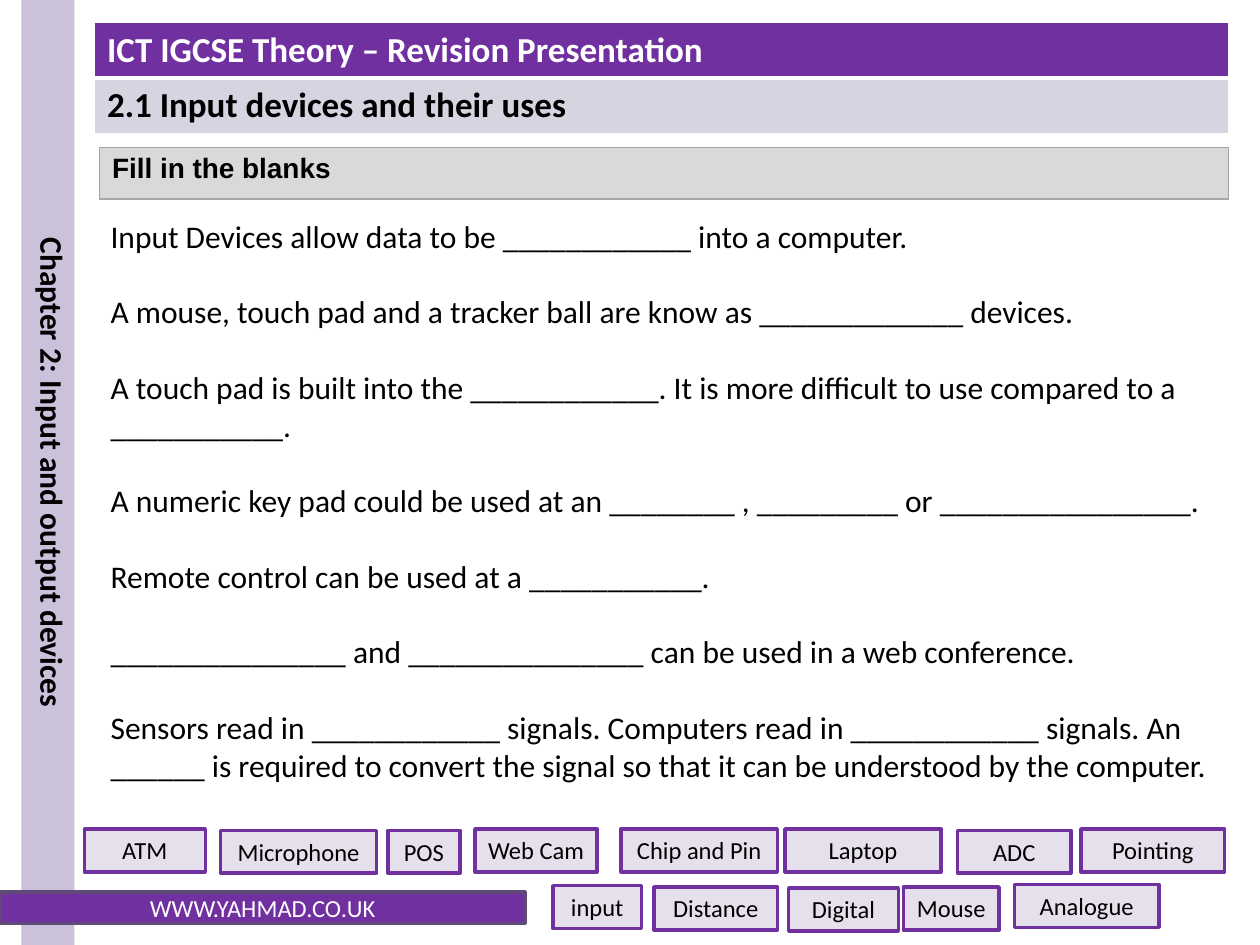
from lxml import etree
from pptx import Presentation
from pptx import util as u
from pptx.dml.color import RGBColor
from pptx.enum import shapes, text
from pptx.oxml.ns import qn

COLORS = {
    "purple": "7030A0", "strip": "CCC1DA", "lilac": "D8D3E0", "word": "E6E0EC",
    "grey": "D9D9D9", "grey_line": "A6A6A6", "footer_line": "5F4A78",
    "white": "FFFFFF", "black": "000000",
}

SENTENCES = [
    "Input Devices allow data to be ____________ into a computer.",
    "A mouse, touch pad and a tracker ball are know as _____________ devices.",
    "A touch pad is built into the ____________. It is more difficult to use compared to a ___________.",
    "A numeric key pad could be used at an ________ , _________ or ________________.",
    "Remote control can be used at a ___________.",
    "_______________ and _______________ can be used in a web conference.",
    "Sensors read in ____________ signals. Computers read in ____________ signals. "
    "An ______ is required to convert the signal so that it can be understood by the computer.",
]

# Answer words: label, left, top, width
WORDS = [
    ("POS", 3.08, 6.59, 0.57), ("ATM", 0.67, 6.58, 0.96),
    ("Pointing", 8.58, 6.58, 1.14), ("input", 4.39, 7.03, 0.7),
    ("Chip and Pin", 4.93, 6.58, 1.24), ("Laptop", 6.23, 6.58, 1.24),
    ("Mouse", 7.17, 7.04, 0.76), ("Distance", 5.19, 7.04, 0.98),
    ("Web Cam", 3.77, 6.58, 0.97), ("Microphone", 1.75, 6.59, 1.24),
    ("ADC", 7.6, 6.59, 0.9), ("Analogue", 8.05, 7.02, 1.15),
    ("Digital", 6.26, 7.05, 0.87),
]


def rgb(name):
    return RGBColor.from_string(COLORS[name])


class Deck:
    """Holds the style and the current slide."""

    font = "Calibri"

    def __init__(self, width, height):
        self.prs = Presentation()
        self.prs.slide_width, self.prs.slide_height = u.Inches(width), u.Inches(height)
        self.s = self.prs.slides.add_slide(self.prs.slide_layouts[6])

    def set_text(self, tf, lines, size, color="black", bold=False, font=None, align=None, gap=0):
        tf.text = "\n".join(lines)
        for i, p in enumerate(tf.paragraphs):
            p.alignment = align
            if i and gap:
                p.space_before = u.Pt(gap)
            for r in p.runs:
                r.font.name = font or self.font
                r.font.size = u.Pt(size)
                r.font.bold = bold
                r.font.color.rgb = rgb(color)

    def rect(self, box, fill, line=None, label=None, size=14, color="black",
             anchor=text.MSO_ANCHOR.TOP):
        sp = self.s.shapes.add_shape(shapes.MSO_SHAPE.RECTANGLE, *map(u.Inches, box))
        sp.shadow.inherit = False
        sp.fill.solid()
        sp.fill.fore_color.rgb = rgb(fill)
        if line:
            sp.line.color.rgb = rgb(line)
            sp.line.width = u.Pt(2)
        else:
            sp.line.fill.background()
        if label:
            sp.text_frame.vertical_anchor = anchor
            self.set_text(sp.text_frame, [label], size, color, align=text.PP_ALIGN.CENTER)

    def textbox(self, box, lines, size, vertical=False, **style):
        tf = self.s.shapes.add_textbox(*map(u.Inches, box)).text_frame
        tf.word_wrap = True
        if vertical:
            tf._txBody.bodyPr.set("vert", "vert")
        self.set_text(tf, lines, size, **style)

    def border(self, cell, color, widths):
        tcPr = cell._tc.get_or_add_tcPr()
        for i, (side, width) in enumerate(zip("LRTB", widths)):
            ln = etree.Element(qn("a:ln" + side), w=str(u.Pt(width)))
            fill = etree.SubElement(ln, qn("a:solidFill"))
            etree.SubElement(fill, qn("a:srgbClr"), val=COLORS[color])
            tcPr.insert(i, ln)

    def table(self, box, rows):
        """One column; each row is (label, fill, border colour, border widths, text style)."""
        tbl = self.s.shapes.add_table(len(rows), 1, *map(u.Inches, box)).table
        for i, (label, fill, line, widths, style) in enumerate(rows):
            cell = tbl.cell(i, 0)
            cell.fill.solid()
            cell.fill.fore_color.rgb = rgb(fill)
            self.border(cell, line, widths)
            self.set_text(cell.text_frame, [label], bold=True, **style)


def main():
    d = Deck(10, 7.5)

    # Title bands
    d.table((0.75, 0.18, 9, 0.87), [
        ("ICT IGCSE Theory – Revision Presentation", "purple", "white", (1, 1, 1, 3),
         {"size": 20, "color": "white"}),
        ("2.1 Input devices and their uses", "lilac", "white", (1, 1, 3, 1), {"size": 20}),
    ])

    # Chapter strip and footer
    d.rect((0.17, 0, 0.42, 7.5), "strip")
    d.textbox((0.12, 0, 0.5, 7.5), ["Chapter 2: Input and output devices"], 18,
              vertical=True, bold=True, align=text.PP_ALIGN.CENTER)
    d.rect((0, 7.08, 4.17, 0.25), "purple", "footer_line", "WWW.YAHMAD.CO.UK",
           color="white", anchor=text.MSO_ANCHOR.MIDDLE)

    # Task heading and sentences
    d.table((0.79, 1.17, 8.96, 0.41), [
        ("Fill in the blanks", "grey", "grey_line", (1, 1, 1, 1),
         {"size": 16, "font": "Arial"}),
    ])
    d.textbox((0.78, 1.67, 9.14, 5.25), SENTENCES, 18, gap=21.6)

    # Answer words
    for label, left, top, width in WORDS:
        d.rect((left, top, width, 0.34), "word", "purple", label)

    d.prs.save("out.pptx")


if __name__ == "__main__":
    main()
